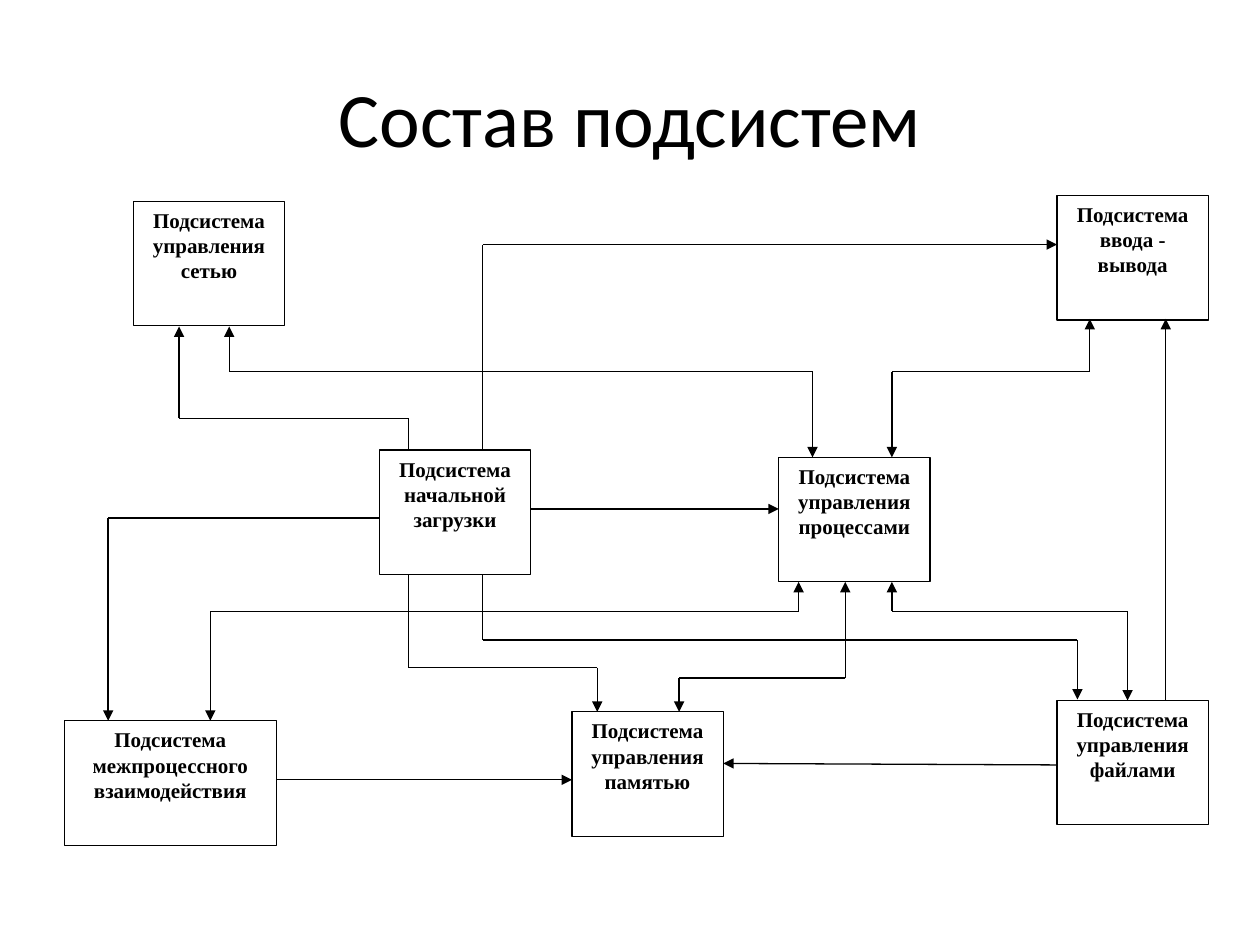
from dataclasses import dataclass
from itertools import pairwise

from lxml.etree import SubElement
from pptx import Presentation
from pptx.dml.color import RGBColor
from pptx.enum.shapes import MSO_CONNECTOR as Connector, MSO_SHAPE as Shape
from pptx.enum.text import MSO_ANCHOR as Anchor, PP_ALIGN as Align
from pptx.oxml.ns import qn
from pptx.util import Cm, Pt


@dataclass(frozen=True)
class Theme:
    """Colours, fonts and sizes of the slide."""
    ink: RGBColor = RGBColor(0, 0, 0)
    paper: RGBColor = RGBColor(255, 255, 255)
    title_font: str = "Calibri"
    title_size: Pt = Pt(44)
    box_font: str = "Times New Roman"
    box_size: Pt = Pt(12)
    line_width: Pt = Pt(0.75)


THEME = Theme()
BOX_WIDTH, WIDE_BOX_WIDTH, BOX_HEIGHT = 3.05, 4.27, 2.51

SUBSYSTEMS = [
    ("Подсистема управления сетью", 2.69, 4.06, BOX_WIDTH),
    ("Подсистема ввода - вывода", 21.31, 3.94, BOX_WIDTH),
    ("Подсистема начальной загрузки", 7.65, 9.07, BOX_WIDTH),
    ("Подсистема управления процессами", 15.7, 9.22, BOX_WIDTH),
    ("Подсистема межпроцессного взаимодействия", 1.3, 14.53, WIDE_BOX_WIDTH),
    ("Подсистема управления памятью", 11.53, 14.35, BOX_WIDTH),
    ("Подсистема управления файлами", 21.31, 14.12, BOX_WIDTH),
]

ONE_WAY_ROUTES = [
    [(8.23, 9.07), (8.23, 8.43), (3.61, 8.43), (3.61, 6.58)],
    [(9.73, 9.07), (9.73, 4.93), (21.31, 4.93)],
    [(10.69, 10.26), (15.7, 10.26)],
    [(7.65, 10.44), (2.18, 10.44), (2.18, 14.53)],
    [(8.23, 11.58), (8.23, 13.46), (12.04, 13.46), (12.04, 14.35)],
    [(9.73, 11.58), (9.73, 12.9), (21.72, 12.9), (21.72, 14.1)],
    [(5.56, 15.72), (11.53, 15.72)],
    [(21.31, 15.42), (14.58, 15.39)],
    [(23.5, 14.12), (23.5, 6.43)],
]

TWO_WAY_ROUTES = [
    [(4.62, 6.58), (4.62, 7.49), (16.38, 7.49), (16.38, 9.22)],
    [(21.97, 6.43), (21.97, 7.49), (17.98, 7.49), (17.98, 9.22)],
    [(16.1, 11.73), (16.1, 12.32), (4.24, 12.32), (4.24, 14.53)],
    [(17.04, 11.73), (17.04, 13.67), (13.69, 13.67), (13.69, 14.35)],
    [(17.98, 11.73), (17.98, 12.32), (22.73, 12.32), (22.73, 14.12)],
]


def format_text(paragraph, font_name, size, bold):
    """Centre a paragraph and style its runs."""
    paragraph.alignment = Align.CENTER
    for run in paragraph.runs:
        run.font.name = font_name
        run.font.size = size
        run.font.bold = bold
        run.font.color.rgb = THEME.ink


def set_title(slide, text):
    """Fill and place the title placeholder."""
    title = slide.shapes.title
    title.left, title.top = Cm(1.27), Cm(0.76)
    title.width, title.height = Cm(22.86), Cm(3.18)
    title.text_frame.text = text
    title.text_frame.vertical_anchor = Anchor.MIDDLE
    format_text(title.text_frame.paragraphs[0], THEME.title_font, THEME.title_size, False)


def add_subsystem(slide, text, left, top, width):
    """Draw one labelled subsystem box."""
    shape = slide.shapes.add_shape(
        Shape.RECTANGLE, Cm(left), Cm(top), Cm(width), Cm(BOX_HEIGHT))
    shape.shadow.inherit = False
    shape.fill.solid()
    shape.fill.fore_color.rgb = THEME.paper
    shape.line.color.rgb = THEME.ink
    shape.line.width = THEME.line_width
    frame = shape.text_frame
    frame.text = text
    frame.word_wrap = True
    frame.vertical_anchor = Anchor.TOP
    frame.paragraphs[0].space_after = Pt(10)
    format_text(frame.paragraphs[0], THEME.box_font, THEME.box_size, True)


def add_segment(slide, start, end):
    """Draw one straight segment and return its connector."""
    connector = slide.shapes.add_connector(
        Connector.STRAIGHT, *(Cm(value) for value in (*start, *end)))
    connector.line.color.rgb = THEME.ink
    connector.line.width = THEME.line_width
    SubElement(connector._element.spPr, qn("a:effectLst"))
    return connector


def add_arrowhead(connector, end_tag):
    """Put a triangle on the given end of a connector."""
    SubElement(connector.line._get_or_add_ln(), qn(end_tag), type="triangle")


def add_route(slide, points, two_way):
    """Draw a route through the points with arrows at its ends."""
    segments = [add_segment(slide, start, end) for start, end in pairwise(points)]
    if two_way:
        add_arrowhead(segments[0], "a:headEnd")
    add_arrowhead(segments[-1], "a:tailEnd")


def main():
    """Build the slide and save it."""
    presentation = Presentation()
    presentation.slide_width, presentation.slide_height = Cm(25.4), Cm(19.05)
    slide = presentation.slides.add_slide(presentation.slide_layouts[5])
    set_title(slide, "Состав подсистем")
    for subsystem in SUBSYSTEMS:
        add_subsystem(slide, *subsystem)
    for points in ONE_WAY_ROUTES:
        add_route(slide, points, two_way=False)
    for points in TWO_WAY_ROUTES:
        add_route(slide, points, two_way=True)
    presentation.save("out.pptx")


if __name__ == "__main__":
    main()
